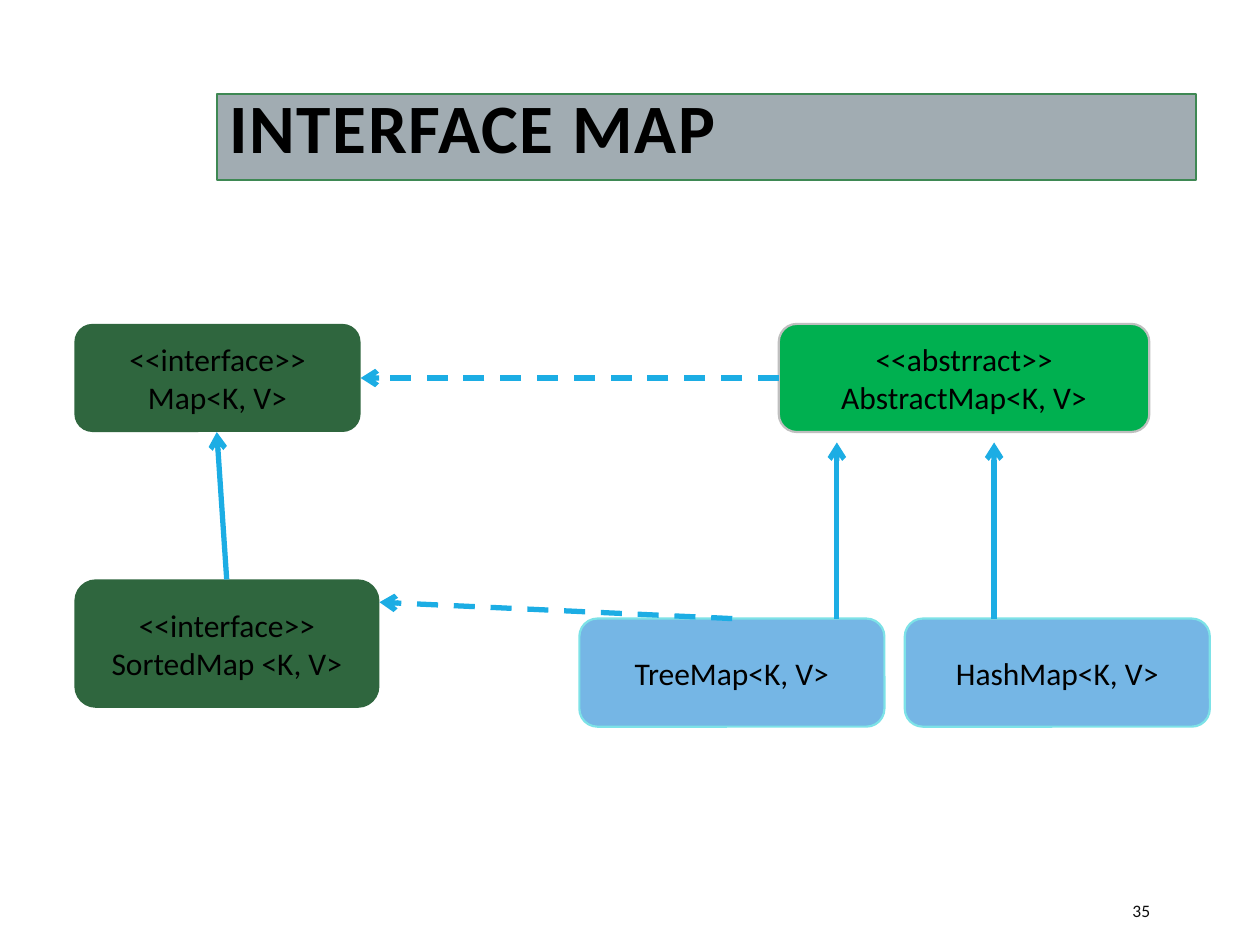
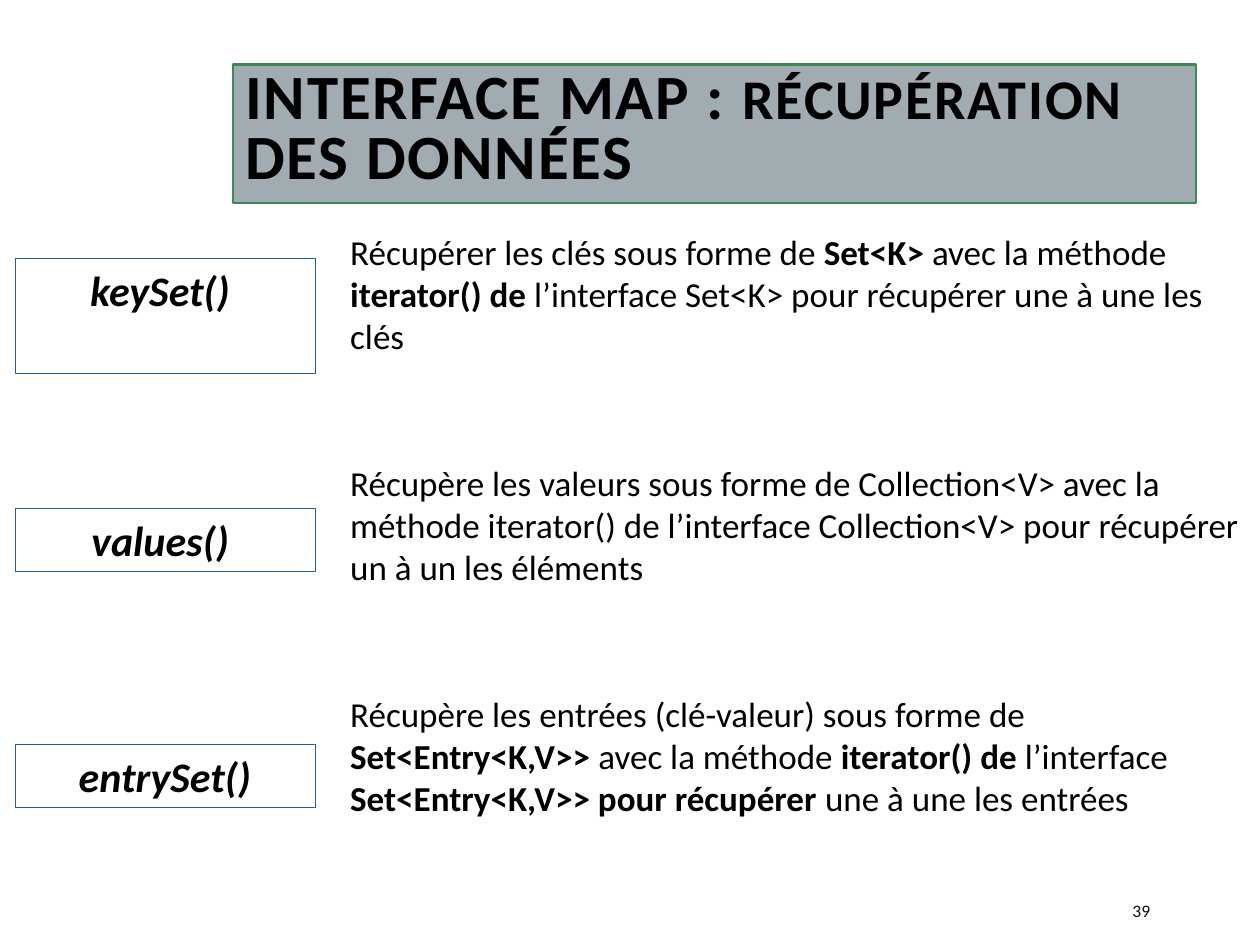
from dataclasses import dataclass
from typing import Any, Optional

import pptx
import pptx.dml.color
import pptx.enum.dml
import pptx.enum.shapes
import pptx.enum.text
import pptx.oxml
import pptx.oxml.ns
import pptx.util

Cm = pptx.util.Cm
SHAPE = pptx.enum.shapes.MSO_SHAPE
ALIGN = pptx.enum.text.PP_ALIGN
ANCHOR = pptx.enum.text.MSO_ANCHOR

FONT = "Calibri"
BLACK = "000000"
TITLE_FILL, TITLE_LINE = "A1ACB2", "3E8853"
NUMBER_COLOR = "0D0D0D"
INTERFACE_FILL = "2F663E"
ABSTRACT_FILL, ABSTRACT_LINE = "00B050", "BFBFBF"
CLASS_FILL, CLASS_LINE = "75B6E5", "7DE2E7"
ARROW_COLOR = "1CADE4"
LABEL_LINE = "1D6294"

TITLE_RIGHT = 24.11
CLASS_TOP, CLASS_WIDTH, NODE_HEIGHT = 12.47, 6.15, 2.18
INTERFACE_LEFT, TOP_ROW = 1.5, 6.53


@dataclass
class Run:
    text: str
    size: float
    bold: bool = False
    italic: bool = False
    color: str = BLACK


@dataclass
class Box:
    left: float
    top: float
    width: float
    height: float
    fill: Optional[str] = None
    line: Optional[str] = None
    line_width: float = 1.25


@dataclass
class Node:
    box: Box
    lines: list[str]


@dataclass
class Arrow:
    x1: float
    y1: float
    x2: float
    y2: float
    dashed: bool = False


@dataclass
class Label:
    text: str
    top: float
    height: float = 1.27
    indent: Optional[float] = None


def rgb(value: str) -> pptx.dml.color.RGBColor:
    return pptx.dml.color.RGBColor.from_string(value)


def apply(target: Any, formats: dict[str, Any]) -> None:
    for name, value in formats.items():
        setattr(target, name, value)


def add_box(s: Any, box: Box, kind: Any = SHAPE.RECTANGLE) -> Any:
    sp = s.shapes.add_shape(kind, Cm(box.left), Cm(box.top), Cm(box.width), Cm(box.height))
    sp.shadow.inherit = False
    if box.fill:
        sp.fill.solid()
        sp.fill.fore_color.rgb = rgb(box.fill)
    else:
        sp.fill.background()
    if box.line:
        sp.line.color.rgb = rgb(box.line)
        sp.line.width = pptx.util.Pt(box.line_width)
    else:
        sp.line.fill.background()
    return sp


def write(sp: Any, paragraphs: list[list[Run]], anchor: Any = ANCHOR.TOP, **formats: Any) -> list[Any]:
    tf = sp.text_frame
    apply(tf, {"word_wrap": True, "vertical_anchor": anchor})
    for i, runs in enumerate(paragraphs):
        p = tf.add_paragraph() if i else tf.paragraphs[0]
        apply(p, {"alignment": ALIGN.LEFT, **formats})
        for run in runs:
            r = p.add_run()
            r.text = run.text
            apply(r.font, {"name": FONT, "size": pptx.util.Pt(run.size),
                           "bold": run.bold, "italic": run.italic})
            r.font.color.rgb = rgb(run.color)
    return list(tf.paragraphs)


def add_slide(prs: Any, title: list[Run], left: float, top: float, height: float, number: int) -> Any:
    s = prs.slides.add_slide(prs.slide_layouts[6])
    band = add_box(s, Box(left, top, TITLE_RIGHT - left, height, TITLE_FILL, TITLE_LINE))
    for p in write(band, [title], line_spacing=0.8):
        for r in p.runs:
            r._r.get_or_add_rPr().set("spc", "100")
    sp = s.shapes.add_textbox(Cm(22.58), Cm(17.98), Cm(2.03), Cm(0.76))
    write(sp, [[Run(str(number), 10, color=NUMBER_COLOR)]], ANCHOR.MIDDLE)
    return s


def add_node(s: Any, node: Node) -> None:
    sp = add_box(s, node.box, SHAPE.ROUNDED_RECTANGLE)
    write(sp, [[Run(line, 18)] for line in node.lines], ANCHOR.MIDDLE, alignment=ALIGN.CENTER)


def add_arrow(s: Any, arrow: Arrow) -> None:
    c = s.shapes.add_connector(pptx.enum.shapes.MSO_CONNECTOR.STRAIGHT,
                               Cm(arrow.x1), Cm(arrow.y1), Cm(arrow.x2), Cm(arrow.y2))
    c.line.color.rgb = rgb(ARROW_COLOR)
    c.line.width = pptx.util.Pt(3)
    if arrow.dashed:
        c.line.dash_style = pptx.enum.dml.MSO_LINE.DASH
    ns = pptx.oxml.ns.nsdecls("a")
    c.line._get_or_add_ln().append(pptx.oxml.parse_xml(f'<a:tailEnd {ns} type="arrow"/>'))
    c._element.spPr.append(pptx.oxml.parse_xml(f"<a:effectLst {ns}/>"))


def add_label(s: Any, label: Label) -> None:
    sp = add_box(s, Box(0.3, label.top, 6.05, label.height, line=LABEL_LINE, line_width=0.25))
    align = ALIGN.CENTER
    if label.indent:
        sp.text_frame.margin_left = Cm(label.indent)
        align = ALIGN.LEFT
    write(sp, [[Run(label.text, 24, True, True)]], alignment=align)


def build_hierarchy(prs: Any) -> None:
    s = add_slide(prs, [Run("INTERFACE MAP", 39.6, True)], 4.37, 1.9, 1.73, 35)
    nodes = [
        Node(Box(INTERFACE_LEFT, TOP_ROW, 5.77, NODE_HEIGHT, INTERFACE_FILL),
             ["<<interface>>", "Map<K, V>"]),
        Node(Box(INTERFACE_LEFT, 11.68, CLASS_WIDTH, 2.59, INTERFACE_FILL),
             ["<<interface>>", "SortedMap <K, V>"]),
        Node(Box(15.7, TOP_ROW, 7.47, NODE_HEIGHT, ABSTRACT_FILL, ABSTRACT_LINE),
             ["<<abstrract>>", "AbstractMap<K, V>"]),
    ]
    for left, name in [(18.24, "HashMap<K, V>"), (11.68, "TreeMap<K, V>")]:
        nodes.append(Node(Box(left, CLASS_TOP, CLASS_WIDTH, NODE_HEIGHT, CLASS_FILL, CLASS_LINE), [name]))
    for node in nodes:
        add_node(s, node)
    arrows = [
        Arrow(4.57, 11.68, 4.37, 8.71),
        Arrow(15.7, 7.62, 7.27, 7.62, True),
        Arrow(16.87, CLASS_TOP, 16.87, 8.92),
        Arrow(20.04, CLASS_TOP, 20.04, 8.92),
        Arrow(14.76, CLASS_TOP, 7.65, 12.14, True),
    ]
    for arrow in arrows:
        add_arrow(s, arrow)


def build_retrieval(prs: Any) -> None:
    title = [Run("INTERFACE MAP : ", 36, True), Run("RÉCUPÉRATION", 32, True),
             Run(" DES DONNÉES", 36, True)]
    s = add_slide(prs, title, 4.7, 1.3, 2.79, 39)
    descriptions = [
        ["Récupérer les clés sous forme de ", "Set<K> ", "avec la méthode ", "iterator() de ",
         "l’interface Set<K> pour récupérer une à une les clés"],
        ["Récupère les valeurs sous forme de Collection<V> avec la méthode iterator() de "
         "l’interface Collection<V> pour récupérer un à un les éléments"],
        ["Récupère les entrées (clé-valeur) sous forme de ", "Set<Entry<K,V>> ",
         "avec la méthode ", "iterator() de ", "l’interface ",
         "Set<Entry<K,V>> pour récupérer ", "une à une les entrées"],
    ]
    sp = s.shapes.add_textbox(Cm(6.81), Cm(4.52), Cm(18.59), Cm(3.3))
    paragraphs = write(sp, [[Run(text, 20, i % 2 == 1) for i, text in enumerate(parts)]
                            for parts in descriptions])
    for p in paragraphs[1:]:
        p.space_before = pptx.util.Pt(60)
    for label in [Label("keySet()", 5.21, 2.31, 1.52), Label("values() ", 10.24),
                  Label("entrySet()", 15.01)]:
        add_label(s, label)


def main() -> None:
    prs = pptx.Presentation()
    apply(prs, {"slide_width": Cm(25.4), "slide_height": Cm(19.05)})
    build_hierarchy(prs)
    build_retrieval(prs)
    prs.save("out.pptx")


if __name__ == "__main__":
    main()
